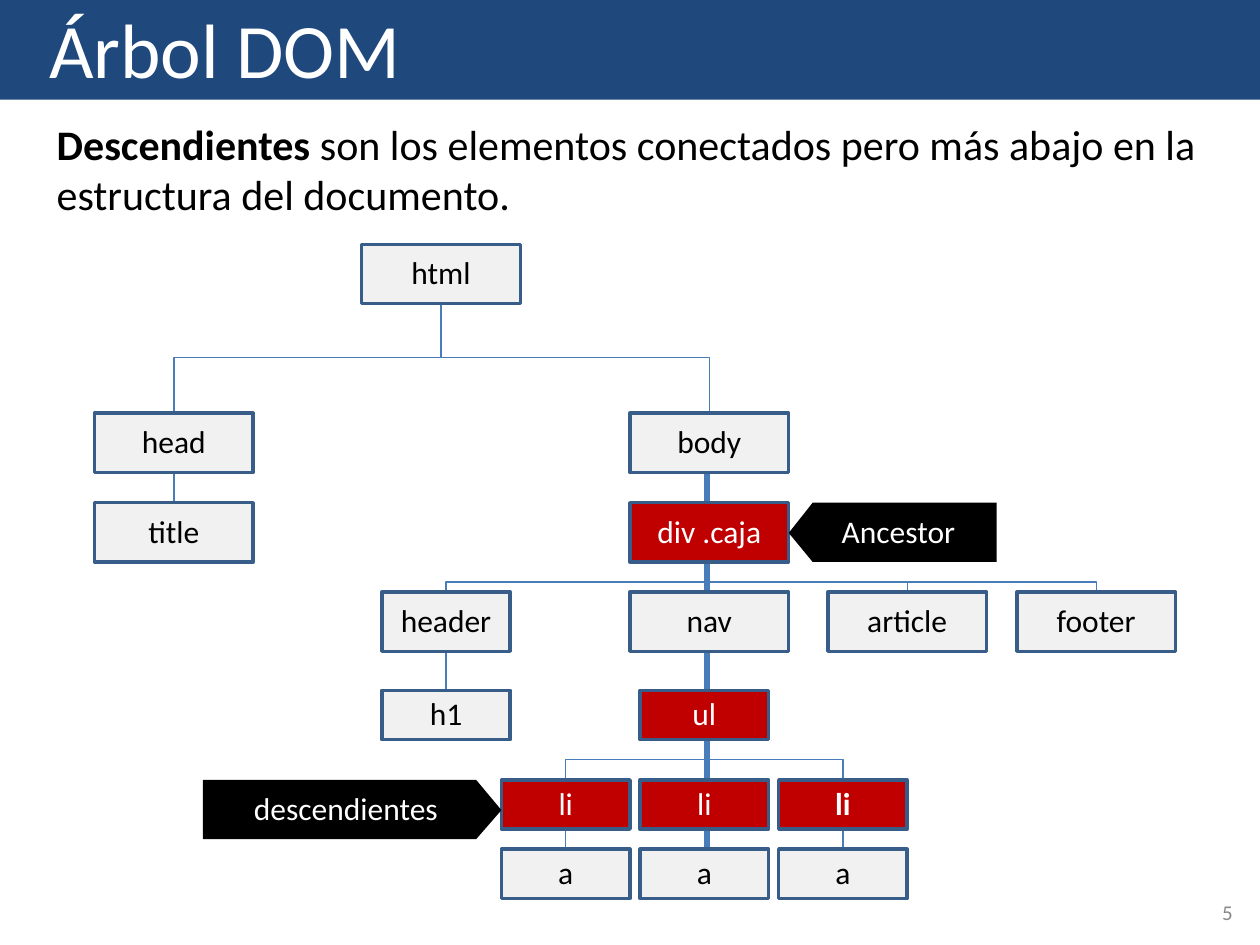
from lxml import etree
from pptx import Presentation
from pptx import util as u
from pptx.dml.color import RGBColor
from pptx.enum import shapes, text
from pptx.oxml.ns import qn

Inches, Pt = u.Inches, u.Pt
NAVY, BLUE, EDGE = "1F487C", "497DBA", "385D89"
RED, GREY, BLACK, WHITE = "C00000", "F1F1F1", "000000", "FFFFFF"


def rgb(c):
    return RGBColor.from_string(c)


def write(sp, runs, size, color, align=text.PP_ALIGN.LEFT, anchor=text.MSO_ANCHOR.MIDDLE):
    """Fill a shape with one paragraph of (text, bold) runs."""
    tf = sp.text_frame
    tf.margin_left = tf.margin_right = tf.margin_top = 0
    tf.margin_bottom = Inches(0.03)
    tf.word_wrap = True
    tf.vertical_anchor = anchor
    p = tf.paragraphs[0]
    p.alignment = align
    p.font.name, p.font.size, p.font.color.rgb = "Calibri", Pt(size), rgb(color)
    for words, bold in runs:
        r = p.add_run()
        r.text = words
        r.font.bold = bold
    return tf


prs = Presentation()
prs.slide_width, prs.slide_height = Inches(10), Inches(7.5)
s = prs.slides.add_slide(prs.slide_layouts[6])

# Title band
sp = s.shapes.add_shape(shapes.MSO_SHAPE.RECTANGLE, 0, 0, Inches(10), Inches(0.79))
sp.shadow.inherit = False
sp.fill.solid()
sp.fill.fore_color.rgb = rgb(NAVY)
sp.line.fill.background()

# Title, definition and slide number: left, top, width, height, runs, size, colour
labels = [
    (0.39, 0.01, 2.82, 0.76, [("Árbol DOM", False)], 44, WHITE),
    (0.45, 0.94, 9.1, 0.85,
     [("Descendientes", True),
      (" son los elementos conectados pero más abajo en la estructura del documento.", False)],
     24, BLACK),
    (9.7, 7.14, 0.2, 0.21, [("5", False)], 12, "888888"),
]
for x, y, w, h, runs, size, color in labels:
    sp = s.shapes.add_textbox(Inches(x), Inches(y), Inches(w), Inches(h))
    write(sp, runs, size, color, anchor=text.MSO_ANCHOR.TOP)

# Straight lines of the highlighted branch
TRUNK, THICK, THIN = 5.61, 3.59, 0.75
for top, bottom in [(3.74, 3.99), (4.46, 4.69), (6.58, 6.75)]:
    cn = s.shapes.add_connector(shapes.MSO_CONNECTOR.STRAIGHT, Inches(TRUNK), Inches(top),
                                Inches(TRUNK), Inches(bottom))
    cn.line.color.rgb = rgb(BLUE)
    cn.line.width = Pt(THICK)
    etree.SubElement(cn._element.spPr, qn("a:effectLst"))

# Branching lines: width and the open strokes of each outline
branches = [
    (THIN, [[(3.5, 2.41), (3.5, 2.84), (5.63, 2.84), (5.63, 3.28)]]),
    (THIN, [[(1.38, 3.75), (1.38, 3.99)],
            [(1.38, 3.28), (1.38, 2.84), (3.5, 2.84), (3.5, 2.41)]]),
    (THICK, [[(TRUNK, 5.88), (TRUNK, 6.19)], [(TRUNK, 5.17), (TRUNK, 5.48)]]),
    (THIN, [[(3.54, 4.69), (3.54, 4.62), (5.63, 4.62)]]),
    (THIN, [[(7.2, 4.69), (7.2, 4.62), (5.63, 4.62)],
            [(8.7, 4.69), (8.7, 4.62), (7.2, 4.62)],
            [(3.54, 5.17), (3.54, 5.48)],
            [(4.49, 6.74), (4.49, 6.03), (5.63, 6.03)],
            [(6.69, 6.74), (6.69, 6.03), (5.63, 6.03)]]),
]
for width, strokes in branches:
    fb = None
    for stroke in strokes:
        start, *rest = [(Inches(x), Inches(y)) for x, y in stroke]
        if fb is None:
            fb = s.shapes.build_freeform(*start)
        else:
            fb.move_to(*start)
        fb.add_line_segments(rest, close=False)
    sp = fb.convert_to_shape()
    sp.shadow.inherit = False
    sp.fill.background()
    sp.line.color.rgb = rgb(BLUE)
    sp.line.width = Pt(width)

# Tree nodes: wide, medium and small boxes
WIDE, MEDIUM, SMALL = (1.26, 0.47), (1.02, 0.47), (1.02, 0.39)
nodes = [
    ("html", 2.87, 1.94, WIDE, GREY),
    ("head", 0.75, 3.28, WIDE, GREY),
    ("body", 5, 3.28, WIDE, GREY),
    ("title", 0.75, 3.99, WIDE, GREY),
    ("div .caja", 5, 3.99, WIDE, RED),
    ("header", 3.03, 4.7, MEDIUM, GREY),
    ("nav", 5, 4.7, WIDE, GREY),
    ("article", 6.57, 4.7, WIDE, GREY),
    ("footer", 8.07, 4.7, WIDE, GREY),
    ("h1", 3.03, 5.48, SMALL, GREY),
    ("ul", 5.08, 5.48, SMALL, RED),
]
for i in range(3):
    x = 3.98 + 1.1 * i
    nodes += [("li", x, 6.19, SMALL, RED), ("a", x, 6.74, SMALL, GREY)]
for name, x, y, (w, h), fill in nodes:
    sp = s.shapes.add_shape(shapes.MSO_SHAPE.RECTANGLE,
                            Inches(x), Inches(y), Inches(w), Inches(h))
    sp.shadow.inherit = False
    sp.fill.solid()
    sp.fill.fore_color.rgb = rgb(fill)
    sp.line.color.rgb = rgb(EDGE)
    sp.line.width = Pt(2)
    last_li = name == "li" and x > 6
    write(sp, [(name, last_li)], 18, WHITE if fill == RED else BLACK, text.PP_ALIGN.CENTER)

# Pointer tags: flat end, shoulder, tip, top
for name, flat, shoulder, tip, top in [("Ancestor", 7.91, 6.45, 6.26, 3.99),
                                       ("descendientes", 1.61, 3.78, 3.98, 6.19)]:
    fb = s.shapes.build_freeform(Inches(flat), Inches(top))
    fb.add_line_segments([(Inches(x), Inches(y)) for x, y in
                          [(shoulder, top), (tip, top + 0.24),
                           (shoulder, top + 0.47), (flat, top + 0.47)]])
    sp = fb.convert_to_shape()
    sp.shadow.inherit = False
    sp.fill.solid()
    sp.fill.fore_color.rgb = rgb(BLACK)
    sp.line.fill.background()
    tf = write(sp, [(name, False)], 18, WHITE, text.PP_ALIGN.CENTER)
    if tip < flat:
        tf.margin_left = Inches(0.09)
    else:
        tf.margin_right = Inches(0.1)

prs.save("out.pptx")
